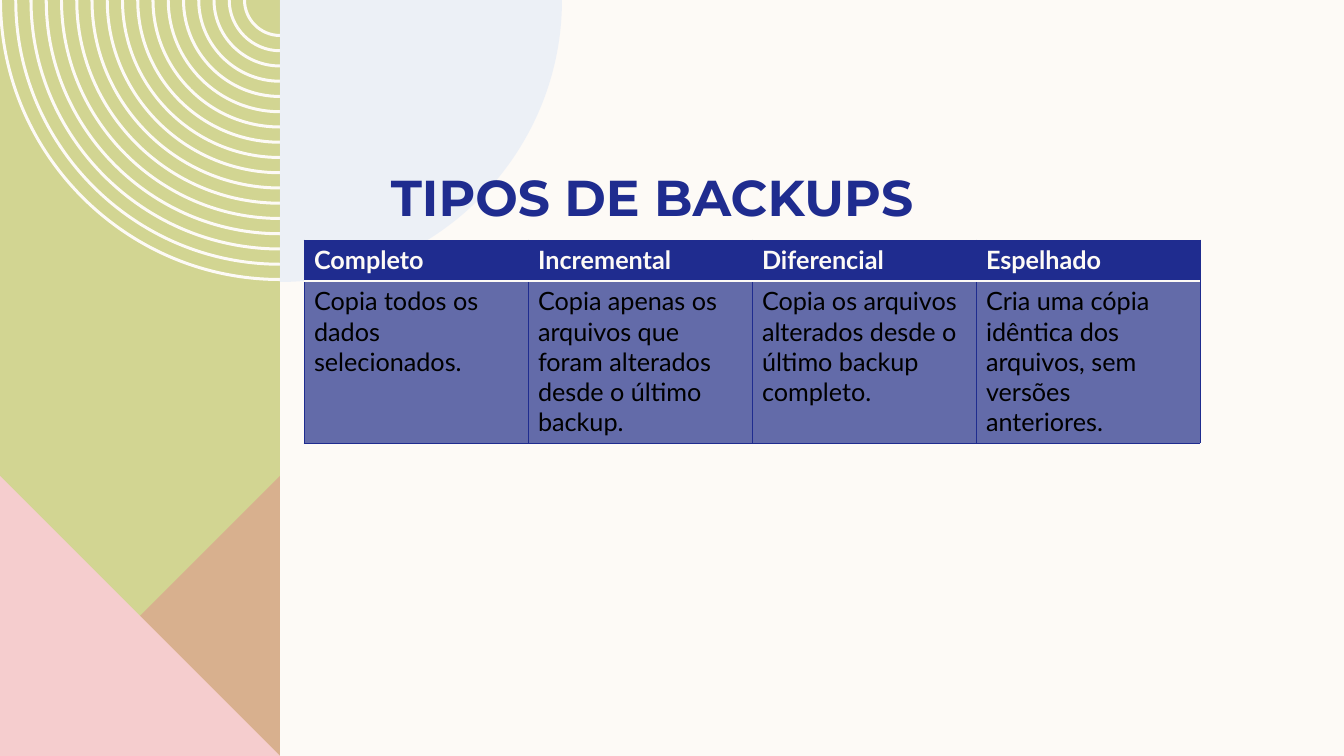
"""Build the slide that compares the four types of backup in a table."""
from itertools import takewhile

from lxml import etree
from pptx import Presentation
from pptx.dml.color import RGBColor
from pptx.enum.text import MSO_ANCHOR
from pptx.oxml.ns import qn
from pptx.util import Emu, Pt

TITLE = "TIPOS DE BACKUPS"
BACKUPS = [
    ("Completo", "Copia todos os dados selecionados."),
    ("Incremental", "Copia apenas os arquivos que foram alterados desde o último backup."),
    ("Diferencial", "Copia os arquivos alterados desde o último backup completo."),
    ("Espelhado", "Cria uma cópia idêntica dos arquivos, sem versões anteriores."),
]

CREAM = RGBColor(0xFD, 0xFA, 0xF6)
GREEN = RGBColor(0xD2, 0xD5, 0x92)
ROSE = RGBColor(0xDE, 0x8C, 0x8C)
PINK = RGBColor(0xF5, 0xCD, 0xCE)
PALE_BLUE = RGBColor(0xDD, 0xE7, 0xF6)
NAVY = RGBColor(0x1F, 0x2C, 0x8F)
SOFT_NAVY = RGBColor(0x63, 0x6B, 0xA9)
BLACK = RGBColor(0, 0, 0)

PX = 914400 / 100.8
WIDTH, HEIGHT = 1344, 756
PANEL = 280
RING_COUNT, RING_OUTER, RING_INNER, RING_WIDTH = 17, 281, 37, 3
DISC_RADIUS = 282
CURVE = 0.55
TITLE_BOX = (381, 117, 878, 110)
TABLE_LEFT, TABLE_TOP, COL_WIDTH = 304, 240, 224
ROW_HEIGHTS = (41, 162)


def px(value):
    return Emu(round(value * PX))


def quarter(radius, side):
    """Return the Bezier points of a quarter circle, side -1 for left and 1 for right."""
    unit = [(1, 0), (1, CURVE), (CURVE, 1), (0, 1)]
    return [(PANEL + side * radius * x, radius * y) for x, y in unit]


def bend(sp):
    """Turn the first three of every four segments of a contour into one curve."""
    for start in list(sp._element.iter(qn("a:moveTo"))):
        lines = list(takewhile(lambda e: e.tag == qn("a:lnTo"), start.itersiblings()))
        for i in range(0, len(lines), 4):
            curve, *controls = lines[i:i + 3]
            curve.tag = qn("a:cubicBezTo")
            for line in controls:
                curve.append(line[0])
                line.getparent().remove(line)


def add_outline(slide, contours, color, alpha=100, curved=False):
    """Add one filled shape made of closed contours given in px."""
    contours = [[(px(x), px(y)) for x, y in c] for c in contours]
    builder = slide.shapes.build_freeform(*contours[0][0])
    for i, contour in enumerate(contours):
        if i:
            builder.move_to(*contour[0])
        builder.add_line_segments(contour[1:], close=True)
    sp = builder.convert_to_shape()
    if curved:
        bend(sp)
    sp.shadow.inherit = False
    sp.line.fill.background()
    sp.fill.solid()
    sp.fill.fore_color.rgb = color
    if alpha < 100:
        clr = sp._element.spPr.find(qn("a:solidFill"))[0]
        etree.SubElement(clr, qn("a:alpha"), val=str(alpha * 1000))


def add_border(cell, side, color, width):
    ln = etree.SubElement(cell._tc.get_or_add_tcPr(), qn("a:ln" + side), w=str(int(Pt(width))))
    fill = etree.SubElement(ln, qn("a:solidFill"))
    etree.SubElement(fill, qn("a:srgbClr"), val=str(color))


def write(tf, text, font, size, color, bold):
    tf.text = text
    f = tf.paragraphs[0].runs[0].font
    f.name, f.size, f.bold = font, Pt(size), bold
    f.color.rgb = color


def add_panel(slide):
    add_outline(slide, [[(0, 0), (PANEL, 0), (PANEL, HEIGHT), (0, HEIGHT)]], GREEN)
    step = (RING_OUTER - RING_INNER) / (RING_COUNT - 1)
    radii = [RING_OUTER - i * step for i in range(RING_COUNT)]
    rings = [quarter(r, -1) + quarter(r - RING_WIDTH, -1)[::-1] for r in radii]
    add_outline(slide, rings, CREAM, curved=True)
    top = HEIGHT - PANEL
    add_outline(slide, [[(PANEL, top), (PANEL, HEIGHT), (0, HEIGHT)]], ROSE, 50)
    add_outline(slide, [[(0, top), (PANEL, HEIGHT), (0, HEIGHT)]], PINK)
    disc = quarter(DISC_RADIUS, 1) + [(PANEL, 0)]
    add_outline(slide, [disc], PALE_BLUE, 50, curved=True)


def add_title(slide):
    tf = slide.shapes.add_textbox(*map(px, TITLE_BOX)).text_frame
    tf.word_wrap = True
    tf.vertical_anchor = MSO_ANCHOR.BOTTOM
    tf.margin_top = tf.margin_bottom = 0
    write(tf, TITLE, "Montserrat", 36, NAVY, True)


def add_backup_table(slide):
    cols = len(BACKUPS)
    table = slide.shapes.add_table(
        len(ROW_HEIGHTS), cols, px(TABLE_LEFT), px(TABLE_TOP),
        px(COL_WIDTH * cols), px(sum(ROW_HEIGHTS))).table
    table.horz_banding = False
    for row, height in zip(table.rows, ROW_HEIGHTS):
        row.height = px(height)
    for c, backup in enumerate(BACKUPS):
        table.columns[c].width = px(COL_WIDTH)
        for r, text in enumerate(backup):
            header = r == 0
            cell = table.cell(r, c)
            divider = "B" if header else "T"
            for side in "LRTB":
                color, width = (CREAM, 1) if side == divider else (NAVY, 0.5)
                add_border(cell, side, color, width)
            cell.fill.solid()
            cell.fill.fore_color.rgb = NAVY if header else SOFT_NAVY
            write(cell.text_frame, text, "Lato", 18, CREAM if header else BLACK, header)


def main():
    prs = Presentation()
    prs.slide_width, prs.slide_height = px(WIDTH), px(HEIGHT)
    s = prs.slides.add_slide(prs.slide_layouts[6])
    s.background.fill.solid()
    s.background.fill.fore_color.rgb = CREAM
    add_panel(s)
    add_title(s)
    add_backup_table(s)
    prs.save("out.pptx")


if __name__ == "__main__":
    main()
